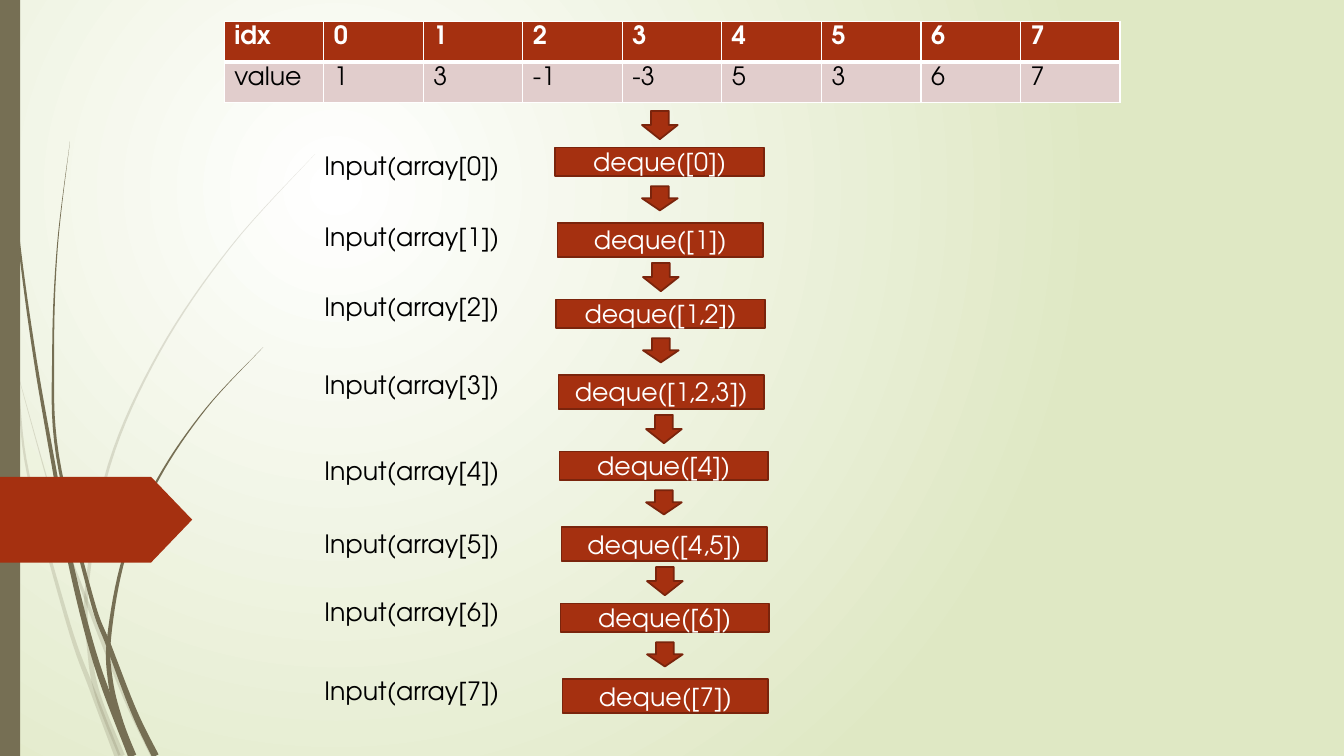
"""Build a slide that traces a deque of indices through an array."""
from math import hypot
from lxml.etree import SubElement
from pptx import Presentation
from pptx.dml.color import RGBColor as RGB
from pptx.enum.shapes import MSO_SHAPE as Form
from pptx.enum.text import MSO_ANCHOR as Anchor, PP_ALIGN as Align
from pptx.oxml.ns import qn
from pptx.util import Pt

RUST = RGB(0xA5, 0x30, 0x10)
EDGE = RGB(0x7A, 0x24, 0x0C)
PINK = RGB(0xE1, 0xCD, 0xCC)
STEM = RGB(0x76, 0x6F, 0x54)
LIME = RGB(0xDF, 0xE8, 0xC4)
WHITE = RGB(0xFF, 0xFF, 0xFF)
BLACK = RGB(0, 0, 0)
FONT = "TeX Gyre Adventor"

ROWS = [
    ("idx", "0", "1", "2", "3", "4", "5", "6", "7"),
    ("value", "1", "3", "-1", "-3", "5", "3", "6", "7"),
]
STEPS = [
    ("Input(array[0])", 103.7, "deque([0])"),
    ("Input(array[1])", 154.8, "deque([1])"),
    ("Input(array[2])", 204.5, "deque([1,2])"),
    ("Input(array[3])", 260.6, "deque([1,2,3])"),
    ("Input(array[4])", 321.8, "deque([4])"),
    ("Input(array[5])", 373.7, "deque([4,5])"),
    ("Input(array[6])", 422.6, "deque([6])"),
    ("Input(array[7])", 478.8, "deque([7])"),
]
ARROWS = [(458.6, 79.2, 25.5, 20.2), (458.6, 133, 25.5, 17.3)]
BOXES = [(396.7, 105.3, 149, 20.2), (398.2, 159.1, 147, 24.5)]
SHIFTS = (0, 0.7, 2.9, 3.6)
PITCH = 108.6

PALE = [
    [(0, 209), (12, 271), (20, 338), (49, 446), (66, 493), (84, 540)],
    [(8, 250), (43, 375), (61, 427), (90, 499), (110, 540)],
    [(225, 110), (165, 176), (114, 251), (78, 332), (62, 420), (64, 465), (70, 497), (87, 540)],
]
DARK = [
    [(2, 0), (5, 79), (13, 168), (25, 256), (40, 342), (50, 400), (69, 474), (94, 540)],
    [(50, 101), (41, 176), (38, 251), (41, 325), (65, 426), (78, 462), (96, 509), (111, 540)],
    [(188, 248), (147, 292), (113, 342), (89, 397), (78, 455), (79, 487), (86, 516), (95, 540)],
]


def spline(dots, cuts=8):
    ends = [dots[0], *dots, dots[-1]]
    out = []
    for a, b, c, d in zip(ends, ends[1:], ends[2:], ends[3:]):
        for k in range(cuts):
            t = k / cuts
            out.append(tuple(
                q + t * (r - p + t * (2 * p - 5 * q + 4 * r - s + t * (3 * q - p - 3 * r + s))) / 2
                for p, q, r, s in zip(a, b, c, d)))
    return out + [dots[-1]]


def outline(dots, wide):
    line = spline(dots)
    last = len(line) - 1
    left, right = [], []
    for i, (x, y) in enumerate(line):
        (ax, ay), (bx, by) = line[max(i - 1, 0)], line[min(i + 1, last)]
        size = wide * i / last / 2 / hypot(bx - ax, by - ay)
        dx, dy = (by - ay) * size, (ax - bx) * size
        left.append((Pt(x + dx), Pt(y + dy)))
        right.append((Pt(x - dx), Pt(y - dy)))
    return left + right[::-1]


def grass(blades, wide, alpha=100):
    group = shapes.add_group_shape()
    for dots in blades:
        first, *rest = outline(dots, wide)
        pen = group.shapes.build_freeform(*first, scale=1.0)
        pen.add_line_segments(rest, close=True)
        leaf = pen.convert_to_shape()
        paint(leaf, STEM)
        tint = leaf.element.spPr.find(".//" + qn("a:srgbClr"))
        SubElement(tint, qn("a:alpha"), val=str(alpha * 1000))


def paint(shape, fill, edge=None):
    shape.shadow.inherit = False
    shape.fill.solid()
    shape.fill.fore_color.rgb = fill
    if edge is None:
        shape.line.fill.background()
    else:
        shape.line.color.rgb = edge
        shape.line.width = Pt(1.25)


def block(form, spot, fill, edge=None):
    shape = shapes.add_shape(form, *map(Pt, spot))
    paint(shape, fill, edge)
    return shape


def write(frame, text, color, bold=False):
    run = frame.paragraphs[0].add_run()
    run.text = text
    run.font.name, run.font.size, run.font.bold = FONT, Pt(18), bold
    run.font.color.rgb = color


def border(cell, low):
    props = cell._tc.get_or_add_tcPr()
    for i, (tag, wide) in enumerate(zip(("lnL", "lnR", "lnT", "lnB"), (1, 1, 1, low))):
        line = SubElement(props, qn("a:" + tag), w=str(Pt(wide)))
        SubElement(SubElement(line, qn("a:solidFill")), qn("a:srgbClr"), val=str(WHITE))
        props.insert(i, line)


deck = Presentation()
deck.slide_width, deck.slide_height = Pt(960), Pt(540)
slide = deck.slides.add_slide(deck.slide_layouts[6])
shapes = slide.shapes

back = slide.background.fill
back.gradient()
for stop, tint in zip(back.gradient_stops, (WHITE, LIME)):
    stop.color.rgb = tint
grad = slide.element.find(".//" + qn("a:gradFill"))
grad.remove(grad.find(qn("a:lin")))
ring = SubElement(grad, qn("a:path"), path="circle")
SubElement(ring, qn("a:fillToRect"), l="50000", t="50000", r="100000", b="100000")

grass(PALE, 4.5, 20)
grass(DARK, 5)
block(Form.RECTANGLE, (0, 0, 14.4, 540), STEM)
block(Form.PENTAGON, (0, 340.6, 137.3, 61.2), RUST).adjustments[0] = 0.48

grid = shapes.add_table(2, 9, Pt(160.2), Pt(15.1), Pt(639.9), Pt(58.4)).table
for col in grid.columns:
    col.width = Pt(71.1)
for r, row in enumerate(ROWS):
    head = r == 0
    for c, text in enumerate(row):
        cell = grid.cell(r, c)
        cell.fill.solid()
        cell.fill.fore_color.rgb = RUST if head else PINK
        border(cell, 3 if head else 1)
        write(cell.text_frame, text, WHITE if head else BLACK, head)

for i, (label, top, state) in enumerate(STEPS):
    pair, side = divmod(i, 2)
    for form, spots in ((Form.DOWN_ARROW, ARROWS), (Form.RECTANGLE, BOXES)):
        x, y, w, h = spots[side]
        shape = block(form, (x + SHIFTS[pair], y + pair * PITCH, w, h), RUST, EDGE)
    frame = shape.text_frame
    frame.vertical_anchor = Anchor.MIDDLE
    frame.paragraphs[0].alignment = Align.CENTER
    write(frame, state, WHITE)
    note = shapes.add_textbox(Pt(224.6), Pt(top), Pt(171.4), Pt(29)).text_frame
    note.word_wrap = True
    write(note, label, BLACK)

deck.save("out.pptx")
